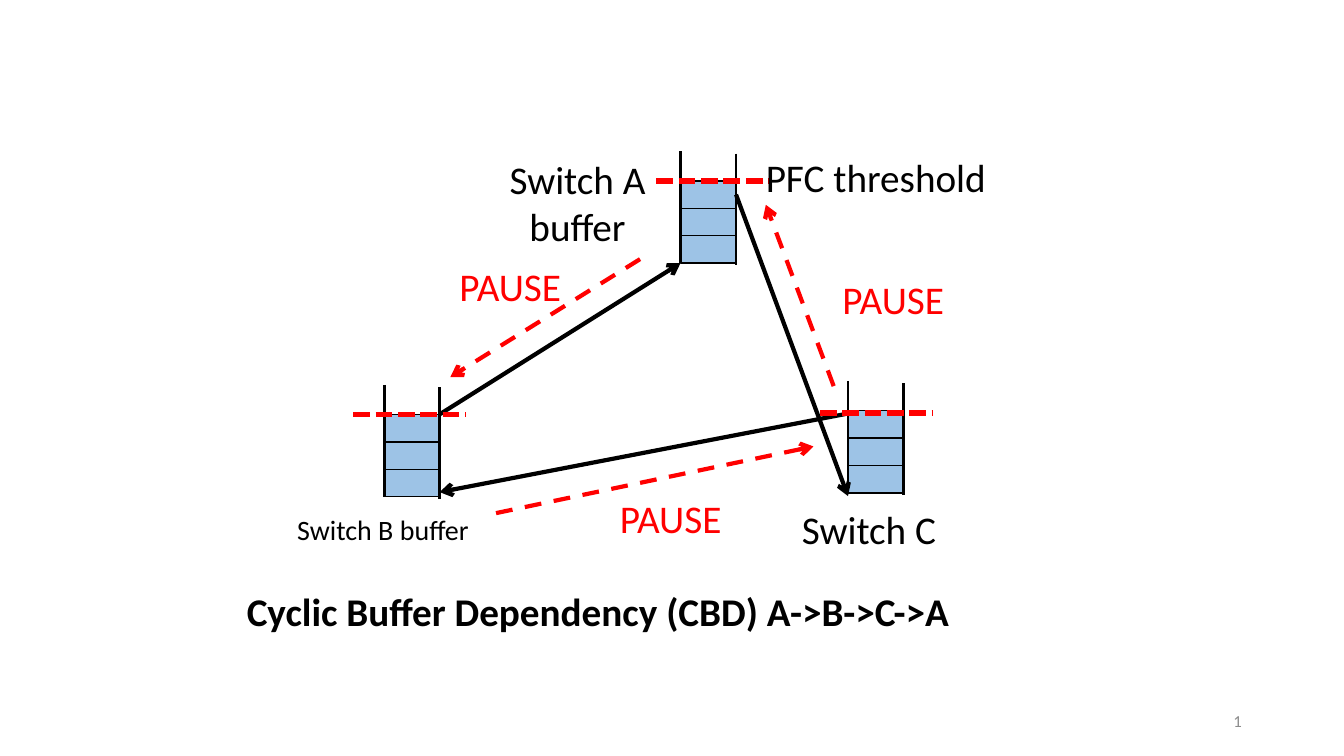
from dataclasses import dataclass

from lxml import etree
from pptx import Presentation
from pptx.dml.color import RGBColor
from pptx.enum import dml, shapes, text
from pptx.oxml.ns import qn
from pptx.util import Cm, Pt


@dataclass(frozen=True)
class Theme:
    font: str = "Calibri"
    ink: RGBColor = RGBColor(0, 0, 0)
    alert: RGBColor = RGBColor(0xFF, 0, 0)
    packet: RGBColor = RGBColor(0x9D, 0xC3, 0xE6)
    muted: RGBColor = RGBColor(0x8C, 0x8C, 0x8C)
    label: int = 28
    small: int = 20
    footer: int = 12


BUFFER_W, WALL_H, CELL_H, CELLS = 1.4, 2.82, 0.69, 3
FILL_DROP, RIGHT_WALL_DROP = 0.75, 0.06
THRESHOLD_W = 2.83


class Diagram:
    def __init__(self, slide, theme):
        self.slide = slide
        self.theme = theme

    def line(self, start, end, color, width, dash=None, arrow=False):
        connector = self.slide.shapes.add_connector(
            shapes.MSO_CONNECTOR.STRAIGHT, *map(Cm, (*start, *end)))
        connector.line.color.rgb = color
        connector.line.width = Pt(width)
        if dash:
            connector.line.dash_style = dash
        if arrow:
            etree.SubElement(connector.line._get_or_add_ln(), qn("a:tailEnd"), type="arrow")
        etree.SubElement(connector._element.spPr, qn("a:effectLst"))
        return connector

    def label(self, wording, left, top, width, height, size=None, color=None,
              bold=False, align=text.PP_ALIGN.LEFT):
        box = self.slide.shapes.add_textbox(*map(Cm, (left, top, width, height)))
        frame = box.text_frame
        frame.word_wrap = True
        frame.text = wording
        for paragraph in frame.paragraphs:
            paragraph.alignment = align
            for run in paragraph.runs:
                run.font.name = self.theme.font
                run.font.size = Pt(size or self.theme.label)
                run.font.bold = bold
                run.font.color.rgb = color or self.theme.ink
        return frame

    def buffer(self, left, top):
        """Draw a queue open at the top; return its cells from top to bottom."""
        cells = []
        for row in range(CELLS):
            cell = self.slide.shapes.add_shape(
                shapes.MSO_SHAPE.RECTANGLE, Cm(left), Cm(top + FILL_DROP + row * CELL_H),
                Cm(BUFFER_W), Cm(CELL_H))
            cell.shadow.inherit = False
            cell.fill.solid()
            cell.fill.fore_color.rgb = self.theme.packet
            cell.line.color.rgb = self.theme.ink
            cell.line.width = Pt(1)
            cells.append(cell)
        for x, y in ((left, top), (left + BUFFER_W, top + RIGHT_WALL_DROP)):
            self.line((x, y), (x, y + WALL_H), self.theme.ink, 2)
        return cells

    def threshold(self, left, y):
        self.line((left, y), (left + THRESHOLD_W, y), self.theme.alert, 4,
                  dml.MSO_LINE.SQUARE_DOT)

    def flow(self, start, end):
        return self.line(start, end, self.theme.ink, 3, arrow=True)

    def pause(self, start, end, label_left, label_top):
        self.line(start, end, self.theme.alert, 3, dml.MSO_LINE.DASH, arrow=True)
        self.label("PAUSE", label_left, label_top, 4, 1.45, color=self.theme.alert)

    def slide_number(self, left, top, width, height):
        frame = self.label("1", left, top, width, height, self.theme.footer,
                           self.theme.muted, align=text.PP_ALIGN.RIGHT)
        frame.vertical_anchor = text.MSO_ANCHOR.MIDDLE
        number = frame.paragraphs[0].runs[0]._r
        number.tag = qn("a:fld")
        number.set("id", "{B6F15528-21DE-4FAA-801E-634DDDAF4B2B}")
        number.set("type", "slidenum")


def main():
    deck = Presentation()
    deck.slide_width, deck.slide_height = Cm(33.87), Cm(19.05)
    theme = Theme()
    diagram = Diagram(deck.slides.add_slide(deck.slide_layouts[6]), theme)

    cells_a = diagram.buffer(17.15, 3.81)
    diagram.buffer(9.68, 9.7)
    diagram.buffer(21.37, 9.6)

    diagram.flow((11.08, 10.44), (17.15, 6.63))
    flow_a_to_c = diagram.flow((18.55, 4.9), (21.37, 12.5))
    flow_a_to_c.begin_connect(cells_a[0], 3)
    diagram.flow((21.37, 10.42), (11.08, 12.4))

    for left, y in ((16.54, 4.56), (8.9, 10.45), (20.66, 10.4)):
        diagram.threshold(left, y)

    diagram.pause((16.13, 6.53), (11.35, 9.5), 11.33, 6.48)
    diagram.pause((21.01, 9.73), (19.3, 5.16), 20.98, 6.81)
    diagram.pause((12.5, 12.93), (20.5, 11.25), 15.37, 12.32)

    diagram.label("PFC threshold", 19.05, 3.73, 6.3, 1.45)
    diagram.label("Switch A\nbuffer", 12.37, 3.78, 4.37, 2.64, align=text.PP_ALIGN.CENTER)
    diagram.label("Switch B buffer", 7.24, 12.8, 4.88, 1.12, theme.small)
    diagram.label("Switch C", 19.96, 12.6, 4.78, 1.45)
    diagram.label("Cyclic Buffer Dependency (CBD) A->B->C->A", 5.97, 14.68, 18.44, 1.45,
                  bold=True)
    diagram.slide_number(23.93, 17.65, 7.62, 1.02)

    deck.save("out.pptx")


if __name__ == "__main__":
    main()
